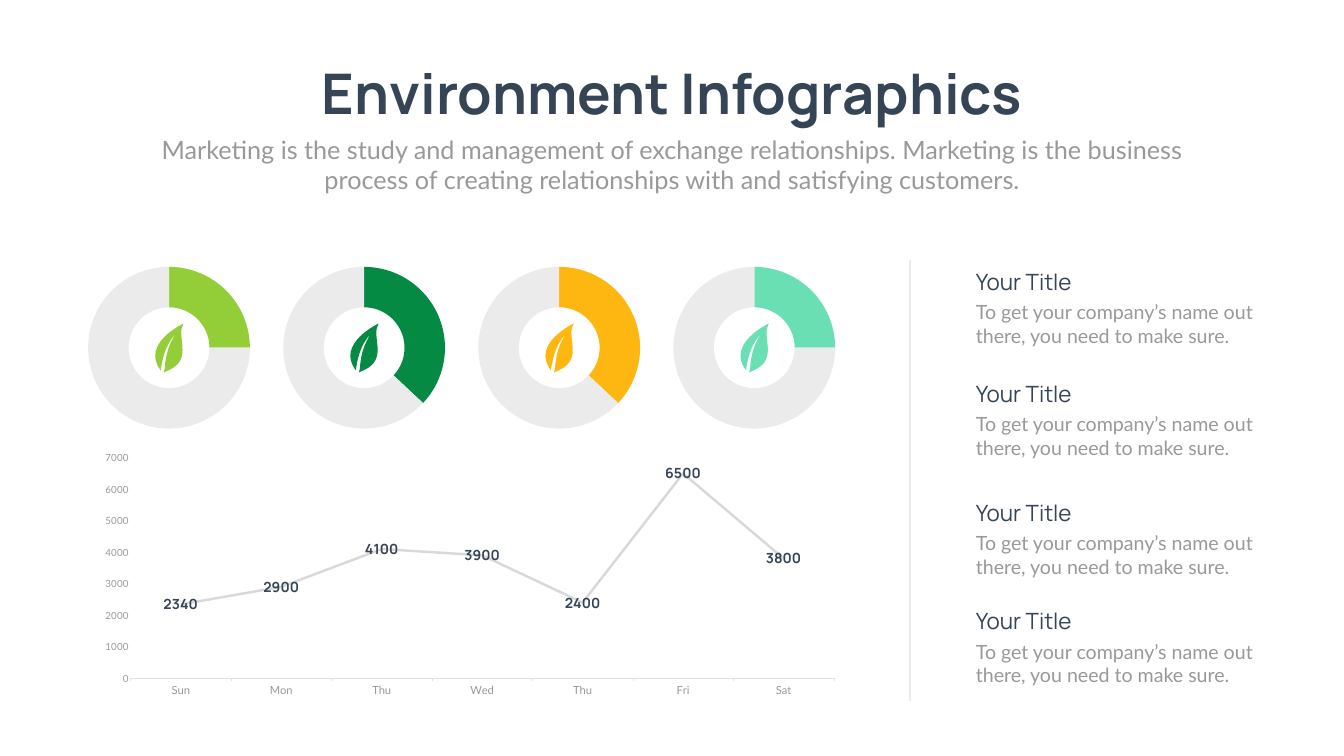
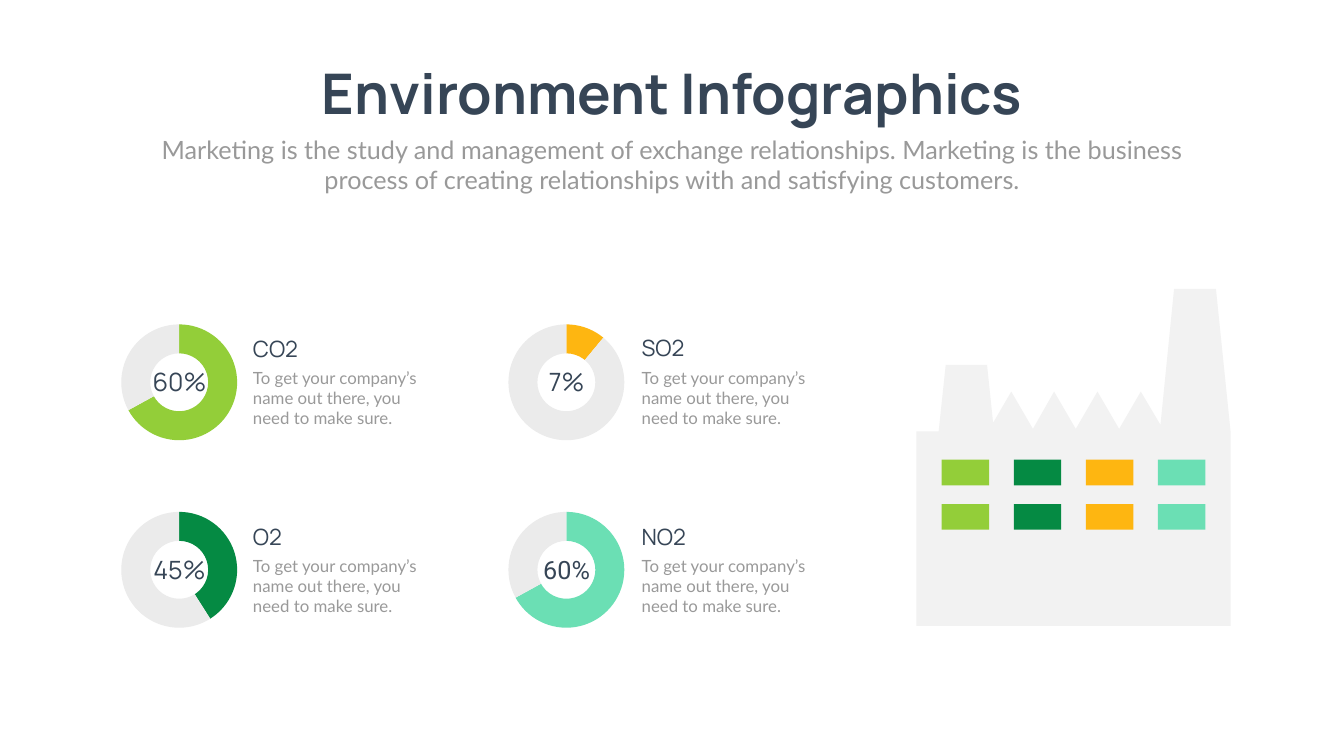
from pptx import Presentation
from pptx.chart.data import CategoryChartData
from pptx.dml.color import RGBColor
from pptx.enum.chart import XL_CHART_TYPE, XL_LABEL_POSITION, XL_TICK_MARK
from pptx.enum.shapes import MSO_CONNECTOR, MSO_SHAPE
from pptx.enum.text import MSO_AUTO_SIZE, PP_ALIGN
from pptx.oxml import parse_xml
from pptx.oxml.ns import nsdecls, qn
from pptx.util import Inches, Pt
from lxml.etree import SubElement

NAVY = RGBColor(0x36, 0x45, 0x56)
GRAY = RGBColor(0x99, 0x99, 0x99)
PALE = RGBColor(0xEB, 0xEB, 0xEB)
WALL = RGBColor(0xF2, 0xF2, 0xF2)
TRACE = RGBColor(0xD9, 0xD9, 0xD9)
AXIS = RGBColor(0xDD, 0xE3, 0xEA)
LIME = RGBColor(0x93, 0xCE, 0x39)
GREEN = RGBColor(0x05, 0x8A, 0x43)
AMBER = RGBColor(0xFE, 0xB6, 0x11)
MINT = RGBColor(0x6B, 0xDF, 0xB4)
HUES = (LIME, GREEN, AMBER, MINT)

HEAD = "Manrope"
BODY = "Lato"
TITLE = "Environment Infographics"
INTRO = ("Marketing is the study and management of exchange relationships. "
         "Marketing is the business process of creating relationships with "
         "and satisfying customers.")
NOTE = "To get your company’s name out there, you need to make sure."

TIP = (0.56, 0)
LEAF = (
    (TIP, (-0.3, 0.4), (0.11, 0.93)),
    ((0.13, 0.75), (0.19, 0.42), (0.41, 0.2)),
    ((0.41, 0.2), (0.21, 0.45), (0.19, 0.89)),
    ((0.19, 0.92), (0.19, 0.94), (0.17, 0.97)),
    ((0.21, 0.95), (0.26, 0.93), (0.28, 0.92)),
    ((0.76, 0.69), (0.4, 0.25), TIP),
)
PLANT = (
    (24.41, 8.56), (24.12, 5.73), (23.7, 5.73), (23.29, 5.73), (23.02, 8.43),
    (22.63, 7.77), (22.2, 8.51), (21.77, 7.77), (21.34, 8.51), (20.91, 7.77),
    (20.49, 8.51), (20.06, 7.77), (19.7, 8.39), (19.58, 7.24), (19.17, 7.24),
    (18.76, 7.24), (18.62, 8.56), (18.18, 8.56), (18.18, 12.42), (24.41, 12.42),
)


class Deck:
    def __init__(self):
        self.prs = Presentation()
        self.prs.slide_width = Inches(26.66)
        self.prs.slide_height = Inches(15)
        self.shapes = None

    def page(self):
        self.shapes = self.prs.slides.add_slide(self.prs.slide_layouts[6]).shapes
        self.text(TITLE, 5.7, 1.12, 15.27, 1.45, 80, bold=True,
                  align=PP_ALIGN.CENTER, wrap=False)
        self.text(INTRO, 2.92, 2.61, 20.82, 1.31, 36, BODY, GRAY,
                  align=PP_ALIGN.CENTER)

    def text(self, words, left, top, width, height, size, face=HEAD, hue=NAVY,
             bold=False, align=PP_ALIGN.LEFT, wrap=True):
        box = self.shapes.add_textbox(*map(Inches, (left, top, width, height)))
        frame = box.text_frame
        frame.word_wrap = wrap
        frame.auto_size = MSO_AUTO_SIZE.SHAPE_TO_FIT_TEXT
        para = frame.paragraphs[0]
        para.alignment = align
        run = para.add_run()
        run.text = words
        self.font(run.font, size, face, hue, bold)

    def font(self, font, size, face, hue, bold=False):
        font.size = Pt(size)
        font.name = face
        font.bold = bold
        font.color.rgb = hue

    def paint(self, shape, hue):
        shape.shadow.inherit = False
        shape.fill.solid()
        shape.fill.fore_color.rgb = hue
        shape.line.fill.background()

    def form(self, spots, hue):
        spots = [(Inches(x), Inches(y)) for x, y in spots]
        build = self.shapes.build_freeform(*spots[0])
        build.add_line_segments(spots[1:], close=True)
        shape = build.convert_to_shape()
        self.paint(shape, hue)
        return shape

    def leaf(self, left, top, hue):
        right, low = left + 0.56, top + 0.97
        shape = self.form(((left, top), (right, top), (right, low), (left, low)), hue)
        track = next(shape._element.iter(qn("a:path")))
        for step in list(track):
            track.remove(step)
        moves = [("a:moveTo", (TIP,))] + [("a:cubicBezTo", part) for part in LEAF]
        for tag, spots in moves:
            step = SubElement(track, qn(tag))
            for x, y in spots:
                SubElement(step, qn("a:pt"), x=str(Inches(x)), y=str(Inches(y)))
        SubElement(track, qn("a:close"))

    def block(self, left, top, width, height, hue):
        area = map(Inches, (left, top, width, height))
        self.paint(self.shapes.add_shape(MSO_SHAPE.RECTANGLE, *area), hue)

    def rule(self, left, top, end):
        line = self.shapes.add_connector(MSO_CONNECTOR.STRAIGHT, Inches(left),
                                         Inches(top), Inches(left), Inches(end))
        line.line.color.rgb = PALE
        line.line.width = Pt(2)
        SubElement(line._element.spPr, qn("a:effectLst"))

    def chart(self, kind, names, values, area, face, plot):
        data = CategoryChartData()
        data.categories = names
        data.add_series("Series 1", values)
        chart = self.shapes.add_chart(kind, *map(Inches, area), data).chart
        chart.has_legend = False
        chart.has_title = False
        self.font(chart.font, 10, face, GRAY)
        field = chart._chartSpace.chart.plotArea
        for old in field.findall(qn("c:layout")):
            field.remove(old)
        sides = "".join(f'<c:{key} val="{val:.3f}"/>' for key, val in zip("xywh", plot))
        field.insert(0, parse_xml(
            f'<c:layout {nsdecls("c")}><c:manualLayout><c:layoutTarget val="inner"/>'
            f'<c:xMode val="edge"/><c:yMode val="edge"/>{sides}'
            '</c:manualLayout></c:layout>'))
        return chart

    def ring(self, left, top, width, height, span, share, hue, hole):
        wide, high = span / width, span / height
        plot = ((1 - wide) / 2, (1 - high) / 2, wide, high)
        chart = self.chart(XL_CHART_TYPE.DOUGHNUT, ("1", "2"), (share, 100 - share),
                           (left, top, width, height), "Calibri", plot)
        for size in chart._chartSpace.iter(qn("c:holeSize")):
            size.set("val", str(hole))
        for spot, tint in enumerate((hue, PALE)):
            form = chart.plots[0].series[0].points[spot].format
            form.fill.solid()
            form.fill.fore_color.rgb = tint
            form.line.fill.background()

    def trend(self, names, values, area):
        chart = self.chart(XL_CHART_TYPE.LINE, names, values, area, BODY,
                           (0.05, 0.04, 0.93, 0.87))
        base, scale = chart.category_axis, chart.value_axis
        base.major_tick_mark = XL_TICK_MARK.OUTSIDE
        base.format.line.color.rgb = AXIS
        base.format.line.width = Pt(0.75)
        self.font(base.tick_labels.font, 16, BODY, GRAY)
        scale.major_tick_mark = XL_TICK_MARK.NONE
        scale.has_major_gridlines = False
        scale.minimum_scale, scale.maximum_scale = 0, 7000
        scale.major_unit = 1000
        scale.format.line.fill.background()
        self.font(scale.tick_labels.font, 14, BODY, GRAY)
        plot = chart.plots[0]
        plot.vary_by_categories = False
        line = plot.series[0]
        line.smooth = False
        line.format.line.color.rgb = TRACE
        line.format.line.width = Pt(3.5)
        tags = line.data_labels
        tags.show_value = True
        tags.position = XL_LABEL_POSITION.CENTER
        self.font(tags.font, 20, HEAD, NAVY, True)

    def card(self, head, left, top, rise, width, wide, high, size):
        self.text(head, left, top - rise, width, 0.64, 32)
        self.text(NOTE, left, top, wide, high, size, BODY, GRAY)


def week(deck):
    deck.page()
    shares = (25, 37, 37, 25)
    for col, (share, hue) in enumerate(zip(shares, HUES)):
        deck.ring(1.5 + 3.87 * col, 5.16, 3.71, 3.48, 3.21, share, hue, 80)
    deck.trend(("Sun", "Mon", "Thu", "Wed", "Thu", "Fri", "Sat"),
               (2340, 2900, 4100, 3900, 2400, 6500, 3800), (1.84, 8.88, 15, 5.03))
    deck.rule(18.05, 5.16, 13.9)
    for top in (5.91, 8.13, 10.49, 12.64):
        deck.card("Your Title", 19.26, top, 0.64, 4.99, 6.24, 1.04, 28)
    for col, hue in enumerate(HUES):
        deck.leaf(3.08 + 3.87 * col, 6.42, hue)


def gases(deck):
    deck.page()
    items = (
        ("CO2", "60%", 67, LIME, 0, 0, 0.64, HEAD),
        ("O2", "45%", 41, GREEN, 0, 1, 0.64, HEAD),
        ("SO2", "7%", 11, AMBER, 1, 0, 0.66, HEAD),
        ("NO2", "60%", 67, MINT, 1, 1, 0.64, "Roboto"),
    )
    for name, label, share, hue, col, row, rise, face in items:
        left, top = 2.18 + 7.68 * col, 6.3 + 3.72 * row
        deck.ring(left, top, 2.75, 2.57, 2.3, share, hue, 75)
        deck.text(label, left + 0.61, top + 0.92, 1.54, 0.71, 36, face,
                  align=PP_ALIGN.CENTER)
        deck.card(name, 4.92 + 7.71 * col, 7.24 + 3.73 * row, rise,
                  (4.99, 3.75)[col], 3.57, 1.31, 24)
    deck.form(PLANT, WALL)
    for row in range(2):
        for col, hue in enumerate(HUES):
            deck.block(18.68 + 1.43 * col, 9.12 + 0.88 * row, 0.94, 0.51, hue)


def main():
    deck = Deck()
    week(deck)
    gases(deck)
    deck.prs.save("out.pptx")


if __name__ == "__main__":
    main()
